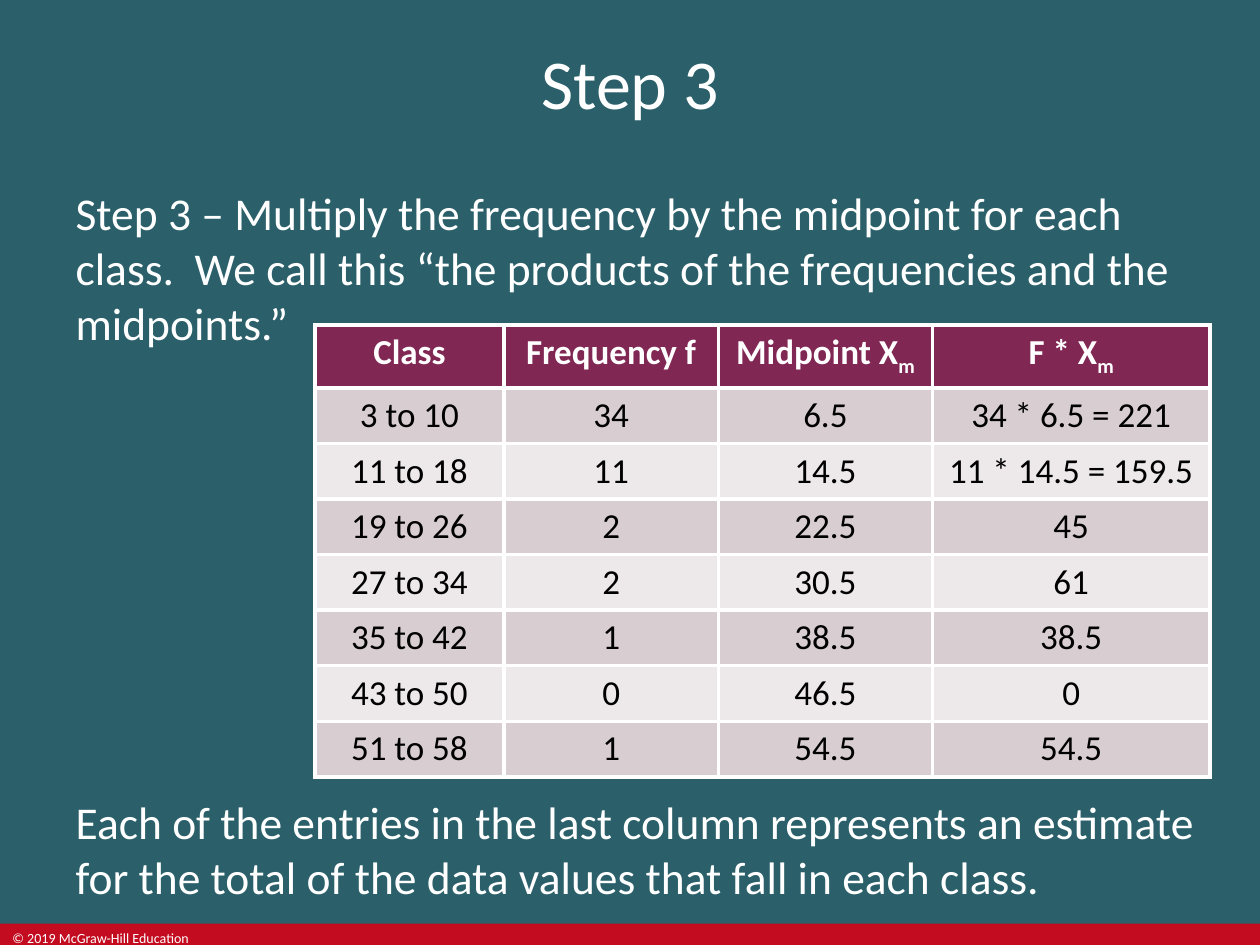
from dataclasses import dataclass

from lxml import etree
from pptx import Presentation
from pptx.dml.color import RGBColor
from pptx.enum.shapes import MSO_SHAPE
from pptx.enum.text import MSO_ANCHOR, MSO_AUTO_SIZE, PP_ALIGN
from pptx.oxml.ns import qn
from pptx.util import Cm, Pt

LEFT, CENTER = PP_ALIGN.LEFT, PP_ALIGN.CENTER
TOP, MIDDLE = MSO_ANCHOR.TOP, MSO_ANCHOR.MIDDLE
NO_FIT = MSO_AUTO_SIZE.NONE
RECT = MSO_SHAPE.RECTANGLE

TEAL = RGBColor(0x2B, 0x60, 0x6A)
RED = RGBColor(0xC3, 0x0C, 0x20)
PLUM = RGBColor(0x80, 0x27, 0x54)
ROSE = RGBColor(0xD8, 0xCD, 0xD1)
PALE = RGBColor(0xED, 0xE8, 0xE9)
WHITE = RGBColor(0xFF, 0xFF, 0xFF)
BLACK = RGBColor(0, 0, 0)

FONT = "Calibri"
SUB = "_"  # text after this mark is set as a subscript
WIDE, HIGH = 25.4, 19.05
TWO_BODY = 3  # layout with a title and two bodies


@dataclass
class Box:
    left: float
    top: float
    width: float
    height: float

    def lengths(self) -> tuple:
        return Cm(self.left), Cm(self.top), Cm(self.width), Cm(self.height)


@dataclass
class Body:
    slot: int
    box: Box
    text: str


BAR = Box(0, 18.62, WIDE, 0.43)
CREDIT = Box(0, 18.62, 4.32, 0.43)
TITLE = Box(0, 0, WIDE, 3.3)
GRID = Box(6.35, 6.55, 18.04, 9.11)
BODIES = [
    Body(1, Box(1.27, 3.61, 22.86, 2.54),
         "Step 3 – Multiply the frequency by the midpoint for each class.  "
         "We call this “the products of the frequencies and the midpoints.”"),
    Body(2, Box(1.27, 15.88, 23.11, 2.54),
         "Each of the entries in the last column represents an estimate "
         "for the total of the data values that fall in each class."),
]

COLS = [3.81, 4.32, 4.32, 5.59]
HEAD_ROW, DATA_ROW = 1.27, 1.12
ROWS = [
    ["Class", "Frequency f", "Midpoint X_m", "F * X_m"],
    ["3 to 10", "34", "6.5", "34 * 6.5 = 221"],
    ["11 to 18", "11", "14.5", "11 * 14.5 = 159.5"],
    ["19 to 26", "2", "22.5", "45"],
    ["27 to 34", "2", "30.5", "61"],
    ["35 to 42", "1", "38.5", "38.5"],
    ["43 to 50", "0", "46.5", "0"],
    ["51 to 58", "1", "54.5", "54.5"],
]


def write(frame, text: str, *, size: float, color=WHITE, bold=False,
          align=LEFT, anchor=TOP, plain=False) -> None:
    """Fill a text frame; plain drops the bullet and its indent."""
    frame.word_wrap = True
    frame.vertical_anchor = anchor
    para = frame.paragraphs[0]
    if plain:
        props = para._p.get_or_add_pPr()
        props.set("marL", "0")
        props.set("indent", "0")
        etree.SubElement(props, qn("a:buNone"))
    para.alignment = align
    para.space_before = Pt(0)
    for i, part in enumerate(text.split(SUB)):
        run = para.add_run()
        run.text = part
        font = run.font
        font.name, font.size, font.bold = FONT, Pt(size), bold
        font.color.rgb = color
        if i:
            run._r.get_or_add_rPr().set("baseline", "-25000")


def place(shape, box: Box) -> None:
    shape.left, shape.top, shape.width, shape.height = box.lengths()
    shape.text_frame.auto_size = NO_FIT


def edge(cell, color: RGBColor, width: float) -> None:
    """Draw all four borders; they must stand before the fill."""
    props = cell._tc.get_or_add_tcPr()
    for i, side in enumerate(("a:lnL", "a:lnR", "a:lnT", "a:lnB")):
        line = etree.Element(qn(side), w=str(Pt(width)))
        fill = etree.SubElement(line, qn("a:solidFill"))
        etree.SubElement(fill, qn("a:srgbClr"), val=str(color))
        props.insert(i, line)


def draw_grid(slide) -> None:
    table = slide.shapes.add_table(
        len(ROWS), len(COLS), *GRID.lengths()).table
    for col, width in zip(table.columns, COLS):
        col.width = Cm(width)
    for r, row in enumerate(ROWS):
        head = r == 0
        table.rows[r].height = Cm(HEAD_ROW if head else DATA_ROW)
        for c, text in enumerate(row):
            cell = table.cell(r, c)
            cell.fill.solid()
            cell.fill.fore_color.rgb = (
                PLUM if head else ROSE if r % 2 else PALE)
            edge(cell, WHITE, 2.25)
            write(cell.text_frame, text, size=20, bold=head, align=CENTER,
                  color=WHITE if head else BLACK)


def main() -> None:
    deck = Presentation()
    deck.slide_width, deck.slide_height = Cm(WIDE), Cm(HIGH)
    slide = deck.slides.add_slide(deck.slide_layouts[TWO_BODY])
    back = slide.background.fill
    back.solid()
    back.fore_color.rgb = TEAL

    # Footer band
    bar = slide.shapes.add_shape(RECT, *BAR.lengths())
    bar.shadow.inherit = False
    bar.fill.solid()
    bar.fill.fore_color.rgb = RED
    bar.line.fill.background()
    note = slide.shapes.add_textbox(*CREDIT.lengths())
    write(note.text_frame, "© 2019 McGraw-Hill Education", size=8)

    # Title and body text
    title = slide.shapes.title
    place(title, TITLE)
    write(title.text_frame, "Step 3", size=40, align=CENTER, anchor=MIDDLE)
    slots = {s.placeholder_format.idx: s for s in slide.placeholders}
    for body in BODIES:
        shape = slots[body.slot]
        place(shape, body.box)
        write(shape.text_frame, body.text, size=26, plain=True)
    for idx, shape in slots.items():
        if not shape.text_frame.text:
            shape.element.getparent().remove(shape.element)

    # Frequency table
    draw_grid(slide)
    deck.save("out.pptx")


if __name__ == "__main__":
    main()
